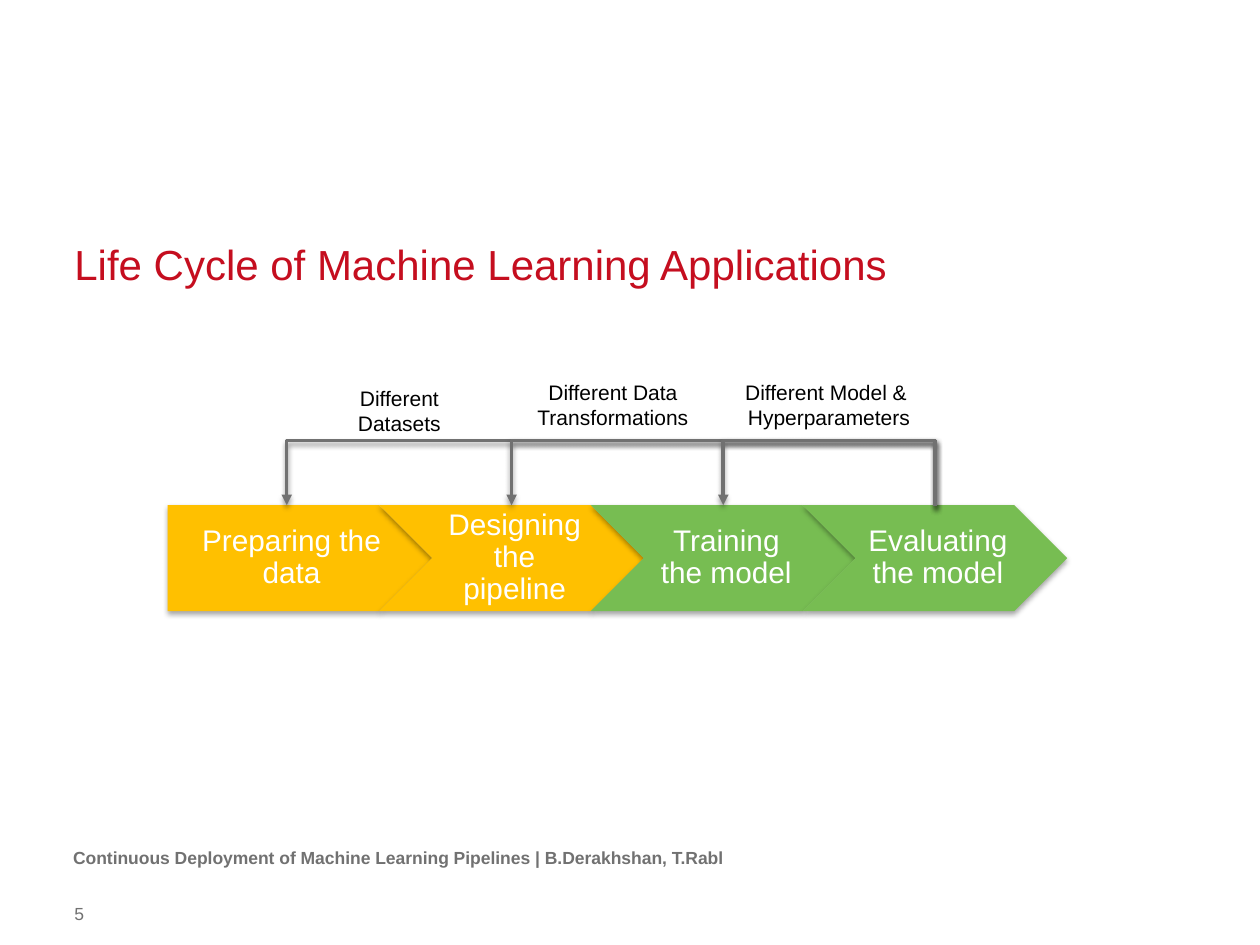
from lxml import etree
from pptx import Presentation
from pptx.dml.color import RGBColor
from pptx.enum.shapes import MSO_CONNECTOR as Link, MSO_SHAPE as Shape
from pptx.enum.text import MSO_ANCHOR as Anchor, PP_ALIGN as Align
from pptx.oxml import parse_xml
from pptx.oxml.ns import nsdecls, qn
from pptx.util import Inches, Pt

COLORS = {"title": "C50E1F", "gray": "717171", "data": "FFC000",
          "model": "77BD52", "white": "FFFFFF", "black": "000000"}

deck = Presentation()
deck.slide_width, deck.slide_height = Inches(10), Inches(7.5)
slide = deck.slides.add_slide(deck.slide_layouts[6])


def add_text(box, lines, size, color, bold=False, align=Align.LEFT,
             anchor=Anchor.TOP, insets=(0, 0, 0, 0), spacing=None, wrap=True):
    frame = slide.shapes.add_textbox(*map(Inches, box)).text_frame
    frame.word_wrap = wrap
    frame.vertical_anchor = anchor
    (frame.margin_left, frame.margin_top,
     frame.margin_right, frame.margin_bottom) = map(Inches, insets)
    for i, line in enumerate(lines):
        para = frame.add_paragraph() if i else frame.paragraphs[0]
        para.alignment = align
        para.line_spacing = spacing
        run = para.add_run()
        run.text = line
        run.font.name, run.font.size, run.font.bold = "Arial", Pt(size), bold
        run.font.color.rgb = RGBColor.from_string(COLORS[color])


def add_shadow(part, alpha, distance):
    part._element.spPr.append(parse_xml(
        f'<a:effectLst {nsdecls("a")}><a:outerShdw blurRad="{Pt(3.1)}" dist="{Pt(distance)}" '
        f'dir="5400000" rotWithShape="0"><a:srgbClr val="{COLORS["black"]}">'
        f'<a:alpha val="{alpha * 1000}"/></a:srgbClr></a:outerShdw></a:effectLst>'))


# Footer, page number and title
add_text((0.58, 6.72, 5.51, 0.39),
         ["Continuous Deployment of Machine Learning Pipelines | B.Derakhshan, T.Rabl"],
         10, "gray", bold=True)
add_text((0.59, 7.17, 4.72, 0.17), ["5"], 10, "gray")
add_text((0.59, 1.9, 8.82, 0.39), ["Life Cycle of Machine Learning Applications"],
         24, "title", anchor=Anchor.BOTTOM, spacing=Pt(30))

# Process chain: each step is 5 units wide and starts 4 units after the last
UNIT, CHAIN_LEFT, CHAIN_TOP = 0.42, 1.33, 4.01
steps = [("Preparing the data", "data"), ("Designing the pipeline", "data"),
         ("Training the model", "model"), ("Evaluating the model", "model")]
for i, (step, color) in enumerate(steps):
    left = CHAIN_LEFT + 4 * UNIT * i
    arrow = slide.shapes.add_shape(
        Shape.CHEVRON if i else Shape.PENTAGON,
        *map(Inches, (left, CHAIN_TOP, 5 * UNIT, 2 * UNIT)))
    arrow.fill.solid()
    arrow.fill.fore_color.rgb = RGBColor.from_string(COLORS[color])
    arrow.line.fill.background()
    add_shadow(arrow, 35, 1.8)
    label_left, label_width = (left + UNIT, 3 * UNIT) if i else (left, 4.5 * UNIT)
    add_text((label_left, CHAIN_TOP, label_width, 2 * UNIT), [step], 17, "white",
             align=Align.CENTER, anchor=Anchor.MIDDLE, spacing=0.9,
             insets=(0.07 if i else 0.1, 0.05, 0.02, 0.05))

# Feedback loops from the last step back to each earlier one
RISE, DROP = 0.53, 0.01
loop_start = CHAIN_LEFT + 14.5 * UNIT
loops = [(2.25, (2.74, 3.01, 0.86, 0.5), ["Different", "Datasets"]),
         (6.5, (4.16, 2.96, 1.41, 0.5), ["Different Data", "Transformations"]),
         (10.5, (5.81, 2.96, 1.54, 0.5), ["Different Model & ", "Hyperparameters"])]
for units, label_box, change in loops:
    loop_end = CHAIN_LEFT + units * UNIT
    span, middle = loop_start - loop_end, (loop_start + loop_end) / 2
    loop = slide.shapes.add_connector(Link.ELBOW, 0, 0, 0, 0)
    loop.left, loop.top = Inches(middle - DROP / 2), Inches(CHAIN_TOP + DROP / 2 - span / 2)
    loop.width, loop.height = Inches(DROP), Inches(span)
    loop.line.width = Pt(2)
    loop.line.color.rgb = RGBColor.from_string(COLORS["gray"])
    # A quarter turn makes the elbow rise above both of its ends
    props = loop._element.spPr
    frame = props.find(qn("a:xfrm"))
    frame.set("rot", "16200000")
    frame.set("flipV", "1")
    bend = etree.SubElement(props.find(qn("a:prstGeom")).find(qn("a:avLst")), qn("a:gd"))
    bend.set("name", "adj1")
    bend.set("fmla", f"val {round(RISE / DROP * 100000)}")
    etree.SubElement(props.find(qn("a:ln")), qn("a:tailEnd")).set("type", "triangle")
    add_shadow(loop, 38, 1.6)
    add_text(label_box, change, 12, "black", align=Align.CENTER,
             insets=(0.1, 0.05, 0.1, 0.05), wrap=False)

deck.save("out.pptx")
